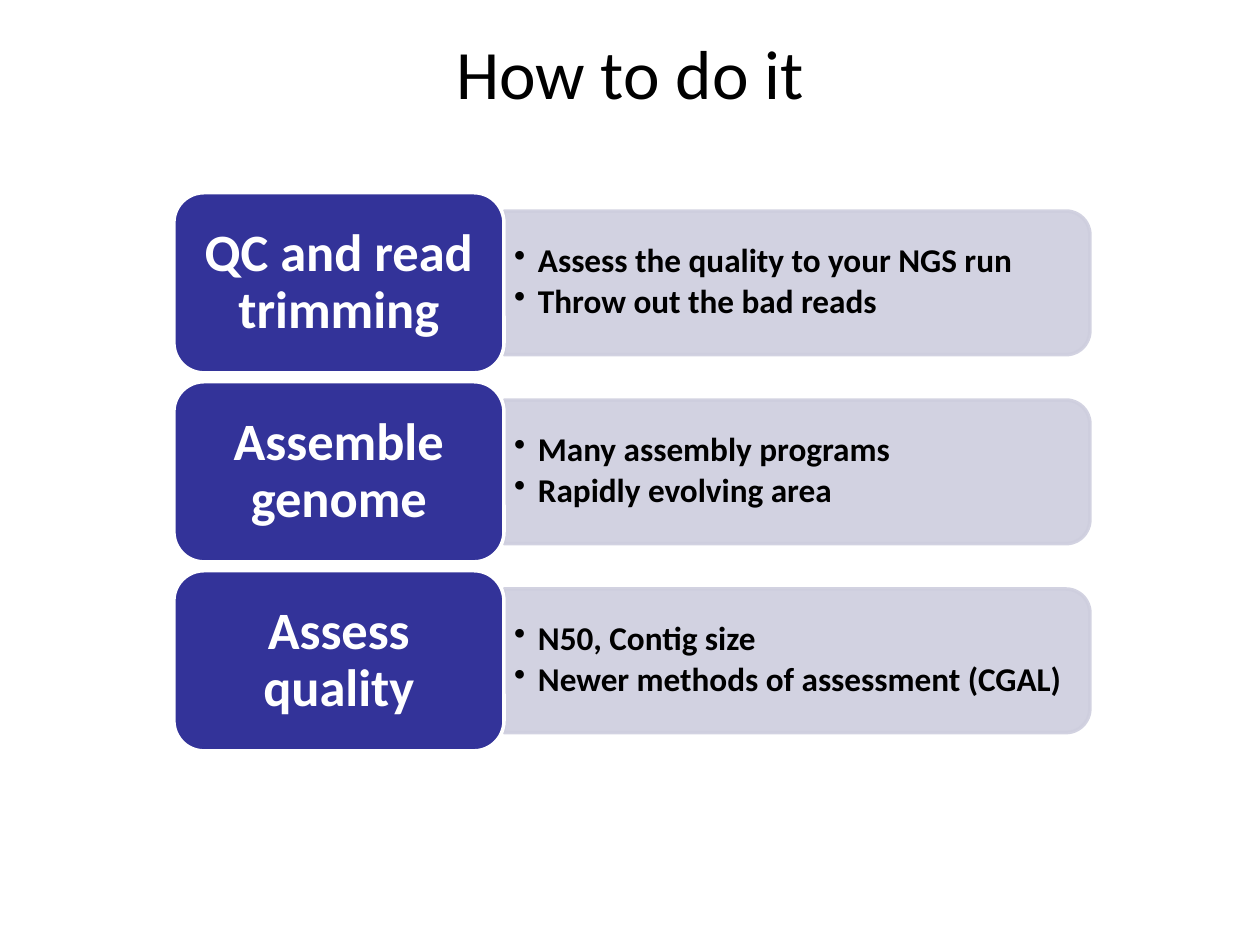
from lxml import etree
from pptx import Presentation
from pptx.dml.color import RGBColor
from pptx.enum import shapes, text
from pptx.oxml.ns import qn
from pptx.util import Inches, Pt

COLORS = {"title": "000000", "body": "000000", "label": "FFFFFF",
          "box": "333399", "edge": "FFFFFF", "bar": "CECEDE"}

STEPS = [
    ("QC and read trimming",
     ["Assess the quality to your NGS run", "Throw out the bad reads"]),
    ("Assemble genome",
     ["Many assembly programs", "Rapidly evolving area"]),
    ("Assess quality",
     ["N50, Contig size", "Newer methods of assessment (CGAL)"]),
]


class Deck:
    font = "Calibri"

    def __init__(self):
        self.prs = Presentation()
        self.prs.slide_width, self.prs.slide_height = Inches(10), Inches(7.5)
        self.slide = self.prs.slides.add_slide(self.prs.slide_layouts[5])

    def color(self, name):
        return RGBColor.from_string(COLORS[name])

    def fill_text(self, frame, lines, size, color, align, bold=True, after=0, inset=(0.1, 0.05)):
        frame.word_wrap = True
        frame.vertical_anchor = text.MSO_ANCHOR.MIDDLE
        frame.margin_left = frame.margin_right = Inches(inset[0])
        frame.margin_top = frame.margin_bottom = Inches(inset[1])
        frame.text = "\n".join(lines)
        for par in frame.paragraphs:
            par.alignment = align
            par.line_spacing = 0.9
            par.space_after = Pt(after)
            for run in par.runs:
                run.font.name, run.font.size = self.font, Pt(size)
                run.font.bold = bold
                run.font.color.rgb = self.color(color)

    def paint(self, shape, fill, line):
        shape.shadow.inherit = False
        shape.fill.solid()
        shape.fill.fore_color.rgb = self.color(fill)
        shape.line.color.rgb = self.color(line)
        shape.line.width = Pt(2)

    def title(self, words, x, y, w, h):
        head = self.slide.shapes.title
        head.left, head.top, head.width, head.height = map(Inches, (x, y, w, h))
        self.fill_text(head.text_frame, [words], 39.6, "title",
                       text.PP_ALIGN.CENTER, bold=False)

    def bar(self, x, y, w, h):
        # A quarter turn puts the two rounded corners on the right
        left, top = x + (w - h) / 2, y + (h - w) / 2
        bar = self.slide.shapes.add_shape(
            shapes.MSO_SHAPE.ROUND_2_SAME_RECTANGLE,
            Inches(left), Inches(top), Inches(h), Inches(w))
        bar.rotation = 90
        self.paint(bar, "bar", "bar")
        for tint in bar._element.spPr.iter(qn("a:srgbClr")):
            etree.SubElement(tint, qn("a:alpha"), val="90000")

    def points(self, lines, x, y, w, h):
        box = self.slide.shapes.add_textbox(*map(Inches, (x, y, w, h)))
        self.fill_text(box.text_frame, lines, 19, "body", text.PP_ALIGN.LEFT,
                       after=2.85, inset=(0.08, 0.04))
        for par in box.text_frame.paragraphs:
            props = par._p.get_or_add_pPr()
            props.set("marL", str(Inches(0.19)))
            props.set("indent", str(-Inches(0.19)))
            etree.SubElement(props, qn("a:buChar"), char="•")

    def label(self, words, x, y, w, h):
        box = self.slide.shapes.add_shape(
            shapes.MSO_SHAPE.ROUNDED_RECTANGLE, *map(Inches, (x, y, w, h)))
        self.paint(box, "box", "edge")
        self.fill_text(box.text_frame, [words], 30, "label",
                       text.PP_ALIGN.CENTER, inset=(0.12, 0.06))


def main():
    deck = Deck()

    # Heading
    deck.title("How to do it", 0.5, 0.3, 9, 0.62)

    # One row per step: bar, its points, then the label on top
    left, top, wide, tall, pitch = 1.38, 1.53, 2.62, 1.43, 1.5
    bar_w, bar_h = 4.65, 1.14
    edge = left + wide
    for row, (name, lines) in enumerate(STEPS):
        y = top + row * pitch
        mid = y + tall / 2
        deck.bar(edge, mid - bar_h / 2, bar_w, bar_h)
        deck.points(lines, edge, mid - 0.52, 4.6, 1.03)
        deck.label(name, left, y, wide, tall)

    deck.prs.save("out.pptx")


if __name__ == "__main__":
    main()
